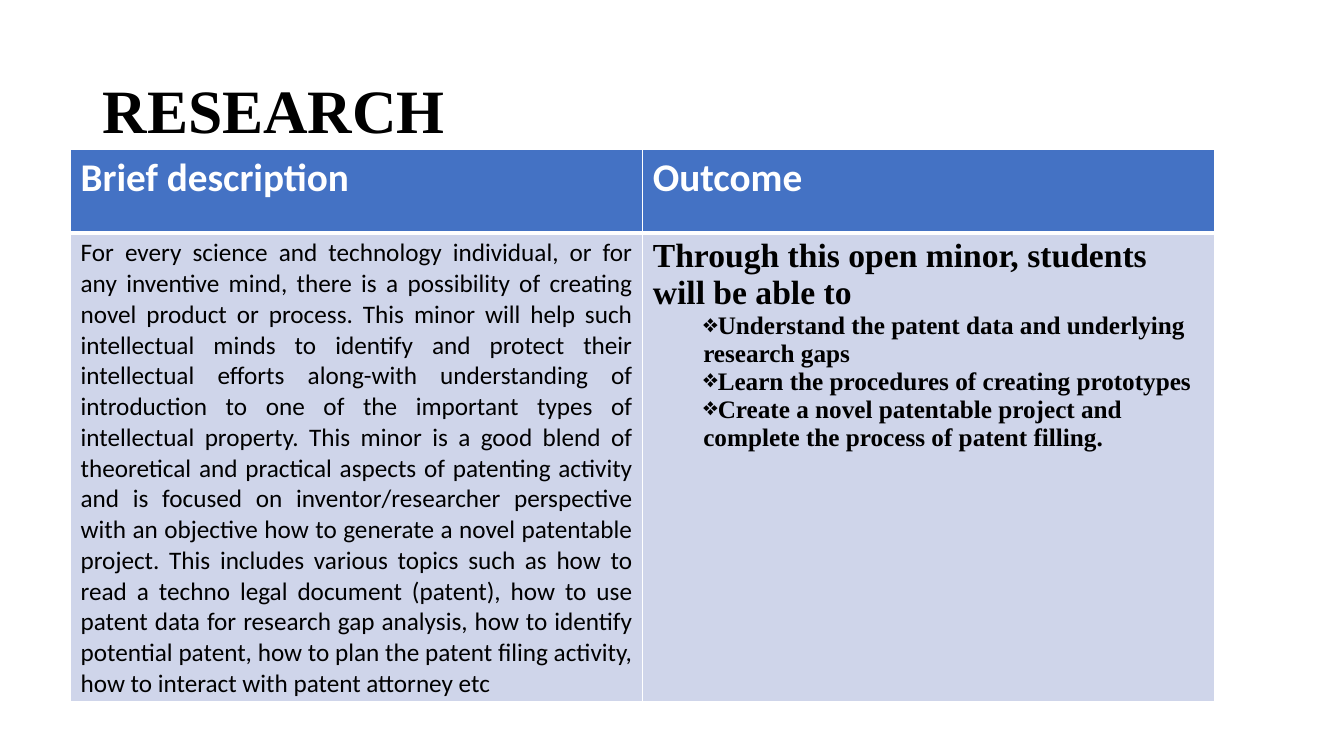
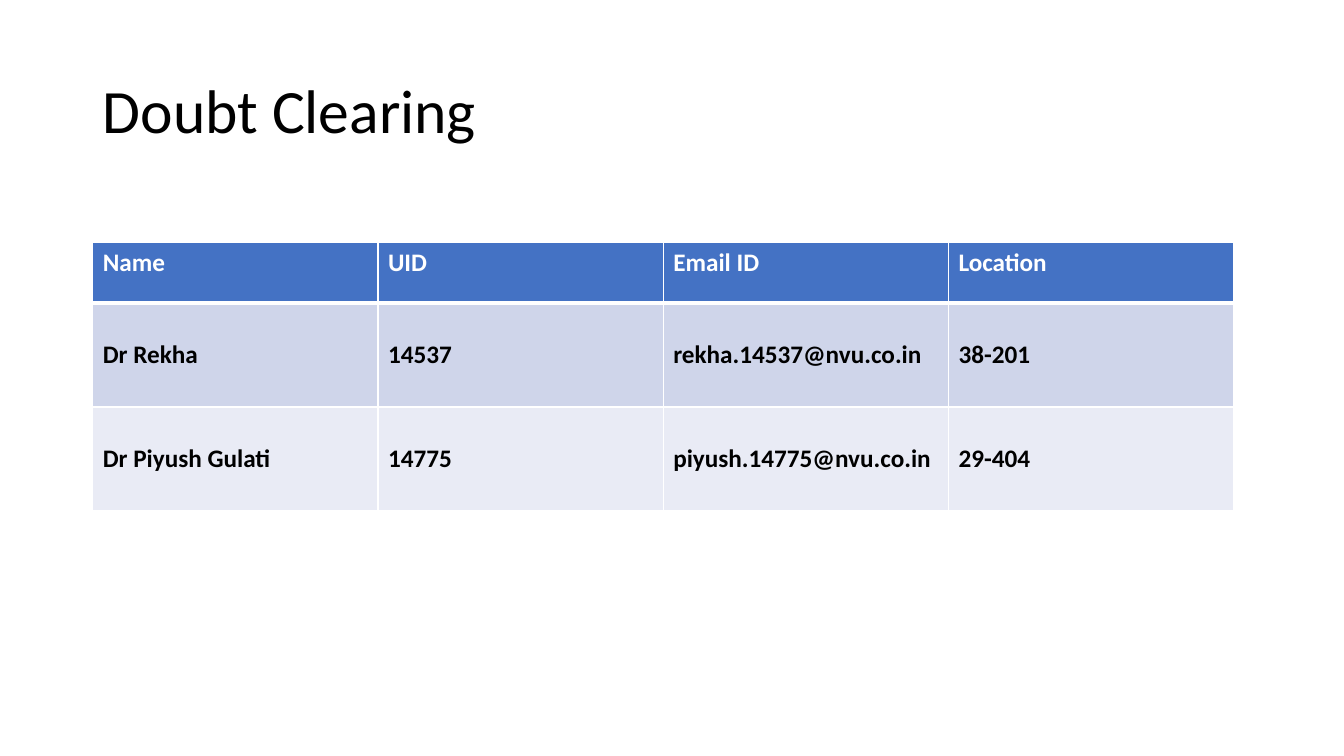
from dataclasses import dataclass

from lxml import etree
from pptx import Presentation
from pptx.dml.color import RGBColor
from pptx.enum.text import MSO_ANCHOR, PP_ALIGN
from pptx.oxml.ns import qn
from pptx.util import Inches, Pt

TOP, MIDDLE = MSO_ANCHOR.TOP, MSO_ANCHOR.MIDDLE
LEFT, JUSTIFY = PP_ALIGN.LEFT, PP_ALIGN.JUSTIFY
SLIDE_WIDTH, SLIDE_HEIGHT = Inches(13.33), Inches(7.5)
BLANK_LAYOUT = 6


@dataclass(frozen=True)
class Theme:
    sans: str = "Calibri"
    serif: str = "Times New Roman"
    ink: str = "000000"
    paper: str = "FFFFFF"
    accent: str = "4472C4"
    bands: tuple = ("CFD5EA", "E9EBF5")
    title_size: int = 44
    heading_size: int = 28
    lead_size: int = 24
    body_size: int = 18
    thin_rule: int = 1
    thick_rule: int = 3


THEME = Theme()

DESCRIPTION = (
    "For every science and technology individual, or for any inventive mind, there is a "
    "possibility of creating novel product or process. This minor will help such intellectual "
    "minds to identify and protect their intellectual efforts along-with understanding of "
    "introduction to one of the important types of intellectual property. This minor is a good "
    "blend of theoretical and practical aspects of patenting activity and is focused on "
    "inventor/researcher perspective with an objective how to generate a novel patentable "
    "project. This includes various topics such as how to read a techno legal document (patent), "
    "how to use patent data for research gap analysis, how to identify potential patent, how to "
    "plan the patent filing activity, how to interact with patent attorney etc"
)
OUTCOMES = [
    "Understand the patent data and underlying research gaps",
    "Learn the procedures of creating prototypes",
    "Create a novel patentable project and complete the process of patent filling.",
]
CONTACTS = [
    ["Dr Rekha", "14537", "rekha.14537@nvu.co.in", "38-201"],
    ["Dr Piyush Gulati", "14775", "piyush.14775@nvu.co.in", "29-404"],
]


def across(percent):
    return round(SLIDE_WIDTH * percent / 100)


def down(percent):
    return round(SLIDE_HEIGHT * percent / 100)


def style_para(para, size, bold=False, font=THEME.sans, color=THEME.ink, align=LEFT):
    para.alignment = align
    for span in para.runs:
        span.font.name = font
        span.font.size = Pt(size)
        span.font.bold = bold
        span.font.color.rgb = RGBColor.from_string(color)


def add_bullet(para, symbol):
    para.level = 1
    properties = para._p.get_or_add_pPr()
    properties.set("marL", str(Inches(0.5)))
    properties.set("indent", "0")
    etree.SubElement(properties, qn("a:buChar")).set("char", symbol)


def add_title(page, text, **style):
    box = page.shapes.add_textbox(across(6.9), down(5.3), across(86.25), down(19.33))
    frame = box.text_frame
    frame.word_wrap = True
    frame.vertical_anchor = MIDDLE
    frame.text = text
    para = frame.paragraphs[0]
    para.line_spacing = 0.9
    style_para(para, THEME.title_size, **style)


def rule_cell(cell, top, bottom):
    properties = cell._tc.get_or_add_tcPr()
    widths = {"L": THEME.thin_rule, "R": THEME.thin_rule, "T": top, "B": bottom}
    for side, width in widths.items():
        line = etree.SubElement(properties, qn(f"a:ln{side}"), w=str(Pt(width)))
        fill = etree.SubElement(line, qn("a:solidFill"))
        etree.SubElement(fill, qn("a:srgbClr"), val=THEME.paper)


def paint_cell(cell, row):
    top = THEME.thick_rule if row == 1 else THEME.thin_rule
    bottom = THEME.thick_rule if row == 0 else THEME.thin_rule
    rule_cell(cell, top, bottom)
    color = THEME.bands[(row - 1) % 2] if row else THEME.accent
    cell.fill.solid()
    cell.fill.fore_color.rgb = RGBColor.from_string(color)


def add_grid(page, left, top, width, row_heights, headings, heading_size):
    count = len(headings)
    frame = page.shapes.add_table(
        len(row_heights), count, across(left), down(top), across(width), down(sum(row_heights))
    )
    table = frame.table
    for column in table.columns:
        column.width = across(width / count)
    for index, height in enumerate(row_heights):
        table.rows[index].height = down(height)
        for cell in table.rows[index].cells:
            paint_cell(cell, index)
    for cell, heading in zip(table.rows[0].cells, headings):
        fill_cell(cell, heading, heading_size, bold=True, color=THEME.paper)
    return table


def fill_cell(cell, text, size, anchor=TOP, **style):
    cell.text_frame.text = text
    cell.vertical_anchor = anchor
    style_para(cell.text_frame.paragraphs[0], size, **style)


def fill_outcomes(cell):
    fill_cell(cell, "Through this open minor, students will be able to",
              THEME.lead_size, bold=True, font=THEME.serif)
    for outcome in OUTCOMES:
        para = cell.text_frame.add_paragraph()
        para.text = outcome
        style_para(para, THEME.body_size, bold=True, font=THEME.serif)
        add_bullet(para, "❖")


def add_page(deck):
    return deck.slides.add_slide(deck.slide_layouts[BLANK_LAYOUT])


def build_research(deck):
    page = add_page(deck)
    add_title(page, "RESEARCH", bold=True, font=THEME.serif)
    table = add_grid(page, 5.25, 19.7, 85.15, [11.1, 62],
                     ["Brief description", "Outcome"], THEME.heading_size)
    fill_cell(table.cell(1, 0), DESCRIPTION, THEME.body_size, align=JUSTIFY)
    fill_outcomes(table.cell(1, 1))


def build_contacts(deck):
    page = add_page(deck)
    add_title(page, "Doubt Clearing")
    table = add_grid(page, 6.9, 32.1, 84.9, [8, 13.75, 13.75],
                     ["Name", "UID", "Email ID", "Location"], THEME.body_size)
    for row, contact in enumerate(CONTACTS, start=1):
        for cell, text in zip(table.rows[row].cells, contact):
            fill_cell(cell, text, THEME.body_size, anchor=MIDDLE, bold=True)


def main():
    deck = Presentation()
    deck.slide_width, deck.slide_height = SLIDE_WIDTH, SLIDE_HEIGHT
    build_research(deck)
    build_contacts(deck)
    deck.save("out.pptx")


if __name__ == "__main__":
    main()
